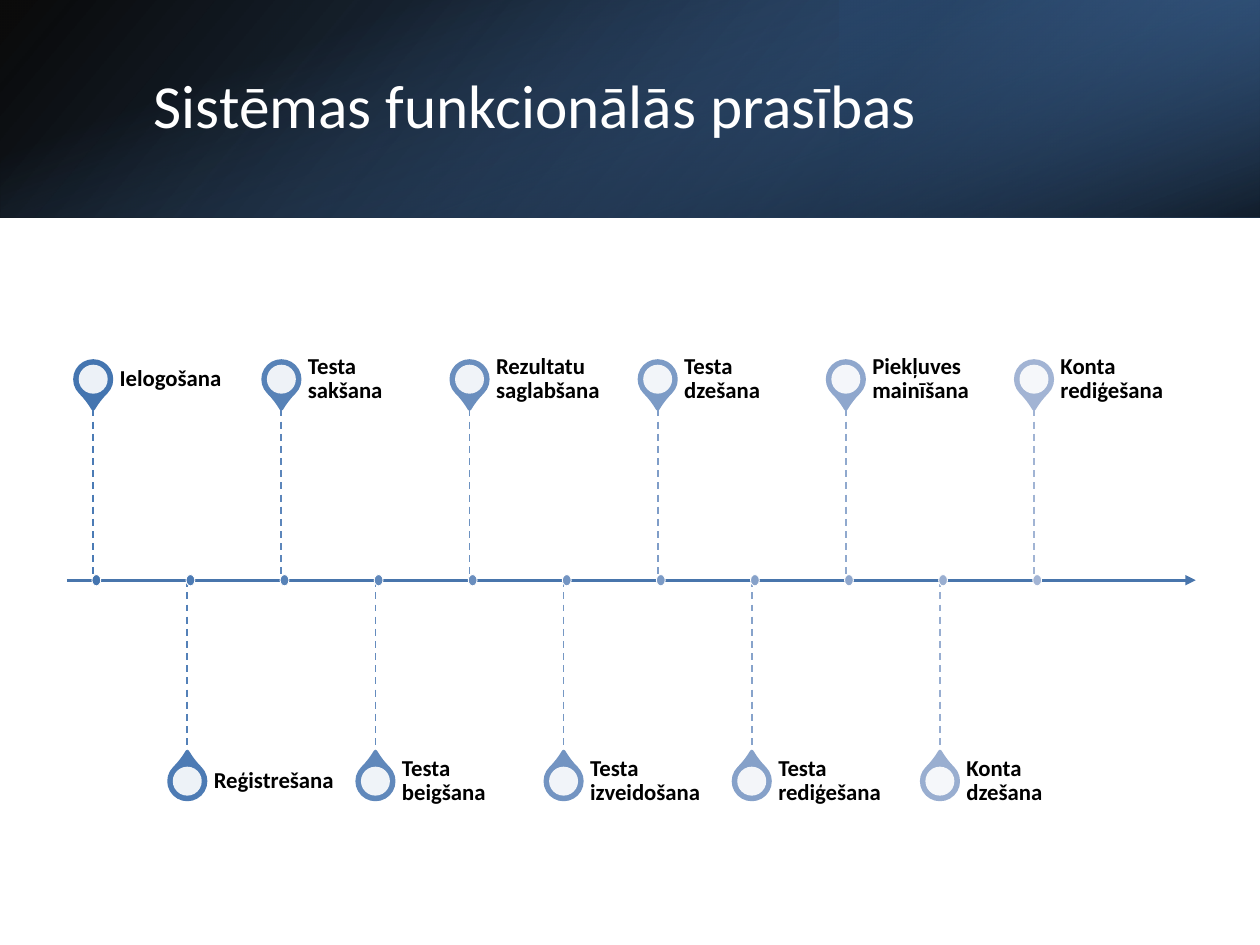
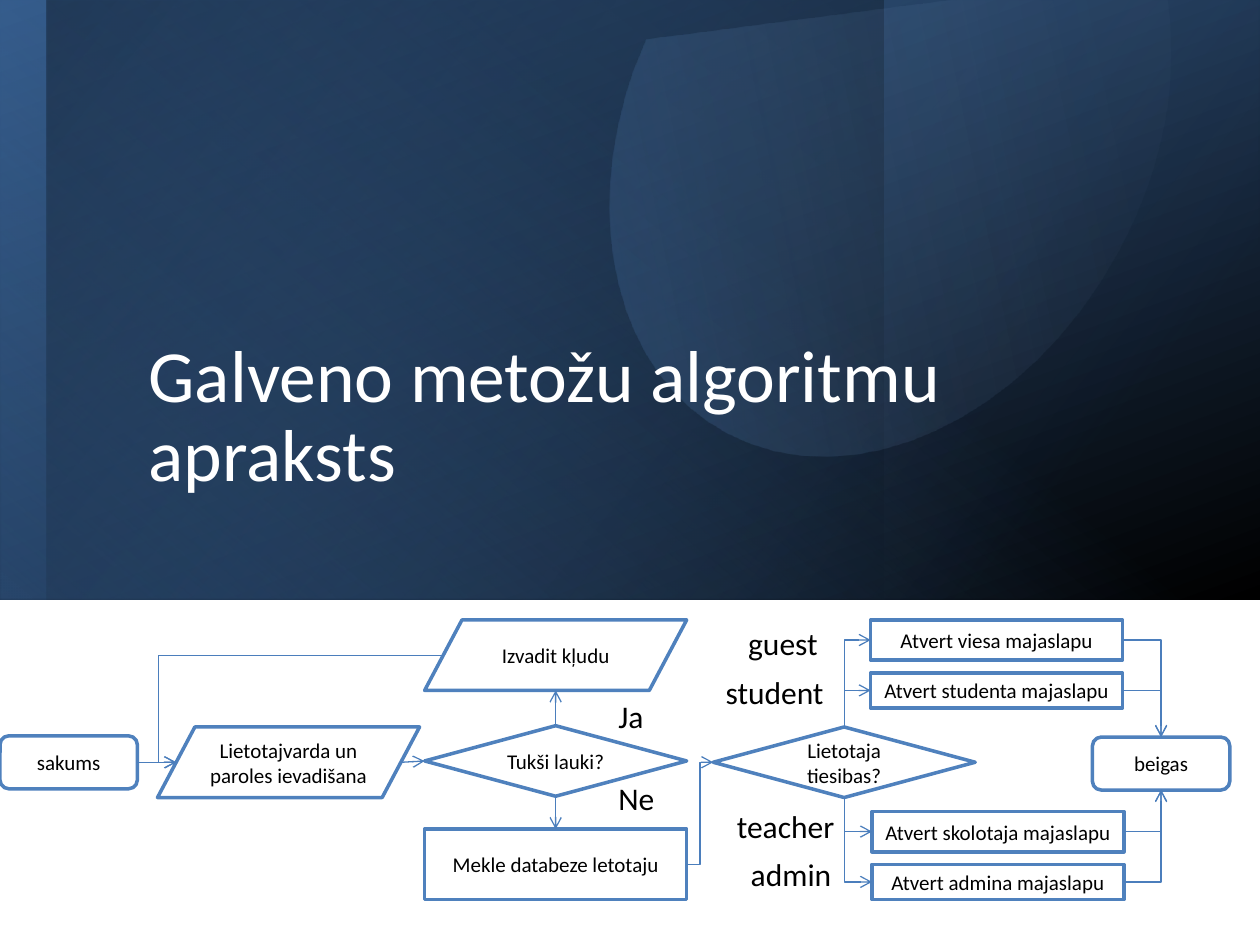
import dataclasses

import pptx
import pptx.dml.color
import pptx.enum.dml
import pptx.enum.shapes
import pptx.enum.text
import pptx.oxml.ns
import pptx.oxml.xmlchemy
import pptx.util

SHAPE = pptx.enum.shapes.MSO_SHAPE
CONNECTOR = pptx.enum.shapes.MSO_CONNECTOR
ANCHOR = pptx.enum.text.MSO_ANCHOR
ALIGN = pptx.enum.text.PP_ALIGN
Inches, Pt, qn = pptx.util.Inches, pptx.util.Pt, pptx.oxml.ns.qn
new_element = pptx.oxml.xmlchemy.OxmlElement

FONT = "Calibri"
WIDE, HIGH = 10, 7.5
COLOURS = {
    "white": "FFFFFF", "black": "000000", "blue": "4F81BD", "pale": "95B3D7",
    "deep": "376092", "navy": "254061", "axis": "4875AC", "arrow": "4B7EBC",
    "pin first": "4475B0", "pin last": "A2B4D4",
    "stem first": "4B7BB5", "stem last": "A1B4D4",
}


@dataclasses.dataclass
class Region:
    """A box on the slide, in inches, with a grid of columns and rows."""
    left: float
    top: float
    width: float
    height: float
    columns: float = 1
    rows: float = 1

    def x(self, column):
        return self.left + column * self.width / self.columns

    def y(self, row):
        return self.top + row * self.height / self.rows

    def cell(self, column, row, wide, tall):
        return (self.x(column), self.y(row),
                wide * self.width / self.columns, tall * self.height / self.rows)


def rgb(colour):
    return pptx.dml.color.RGBColor.from_string(COLOURS.get(colour, colour))


def blend(first, last, share):
    pairs = zip(rgb(first), rgb(last))
    return "".join(f"{round(a + (b - a) * share):02X}" for a, b in pairs)


def set_opacity(shape, *percents):
    for colour, percent in zip(shape.element.spPr.iter(qn("a:srgbClr")), percents):
        alpha = new_element("a:alpha")
        alpha.set("val", str(percent * 1000))
        colour.append(alpha)


def add_shape(page, kind, place, fill=None, line=None, line_width=1):
    shape = page.shapes.add_shape(kind, *map(Inches, place))
    shape.shadow.inherit = False
    if fill:
        shape.fill.solid()
        shape.fill.fore_color.rgb = rgb(fill)
    if line:
        shape.line.color.rgb = rgb(line)
        shape.line.width = Pt(line_width)
    else:
        shape.line.fill.background()
    return shape


def fill_gradient(shape, angle, *stops):
    """Fill with two stops of (position, colour, opacity); the angle turns clockwise."""
    shape.fill.gradient()
    shape.fill.gradient_angle = (360 - angle) % 360
    for stop, (position, colour, _) in zip(shape.fill.gradient_stops, stops):
        stop.position = position / 100
        stop.color.rgb = rgb(colour)
    set_opacity(shape, *(opacity for _, _, opacity in stops))


def add_band(page, place, angle, *stops, turn=0, flip=False):
    """Cover a place with a gradient on a rectangle that may be turned."""
    left, top, width, height = place
    if turn % 180:
        left, top = left + (width - height) / 2, top + (height - width) / 2
        width, height = height, width
    band = add_shape(page, SHAPE.RECTANGLE, (left, top, width, height))
    band.rotation = turn
    if flip:
        band.element.spPr.find(qn("a:xfrm")).set("flipH", "1")
    fill_gradient(band, angle, *stops)


def write(shape, text, size, colour="black", bold=False, align=ALIGN.LEFT,
          anchor=ANCHOR.MIDDLE, spacing=1.0):
    frame = shape.text_frame
    frame.word_wrap = True
    frame.vertical_anchor = anchor
    para = frame.paragraphs[0]
    para.alignment, para.line_spacing = align, spacing
    span = para.add_run()
    span.text = text
    span.font.name, span.font.size, span.font.bold = FONT, Pt(size), bold
    span.font.color.rgb = rgb(colour)
    return frame


def write_title(page, place, text, size, anchor):
    title = page.shapes.title
    title.left, title.top, title.width, title.height = map(Inches, place)
    frame = write(title, text, size, "white", anchor=anchor, spacing=0.9)
    frame.auto_size = pptx.enum.text.MSO_AUTO_SIZE.NONE
    title.element.getparent().append(title.element)


def add_line(page, start, end, colour, width, head=None, dashed=False,
             kind=CONNECTOR.STRAIGHT):
    line = page.shapes.add_connector(kind, *map(Inches, start + end))
    line.line.color.rgb = rgb(colour)
    line.line.width = Pt(width)
    if dashed:
        line.line.dash_style = pptx.enum.dml.MSO_LINE.DASH
    if head:
        tip = new_element("a:tailEnd")
        tip.set("type", head)
        line.element.spPr.find(qn("a:ln")).append(tip)
    line.element.spPr.append(new_element("a:effectLst"))
    return line


# Slide 1: timeline of requirements

def draw_top_bands(page, region):
    add_band(page, region.cell(0, 0, 3, 1), 140,
             (0, "black", 96), (100, "deep", 100), flip=True)
    add_band(page, region.cell(2, 0, 1, 1), 320,
             (19, "navy", 68), (100, "blue", 79), turn=180, flip=True)
    add_band(page, region.cell(0, 0, 3, 1), 340,
             (23, "blue", 0), (99, "black", 74), turn=90)


def draw_pin(page, region, column, upper, label, pin_colour, stem_colour):
    tear, ring, dot_wide, dot_tall, label_tall = 0.29, 0.23, 0.07, 0.09, 0.48
    x, axis = region.x(column) + 0.21, region.y(1)
    label_top = region.top if upper else region.y(2) - label_tall
    y = label_top + label_tall / 2

    drop = add_shape(page, SHAPE.TEAR, (x - tear / 2, y - tear / 2, tear, tear),
                     pin_colour, pin_colour, 2)
    drop.adjustments[0] = 1.15
    drop.rotation = 135 if upper else 315
    centre = add_shape(page, SHAPE.OVAL, (x - ring / 2, y - ring / 2, ring, ring), "white")
    set_opacity(centre, 90)

    place = (x + 0.21, label_top, 1.08, label_tall)
    frame = write(page.shapes.add_textbox(*map(Inches, place)), label, 13,
                  bold=True, spacing=0.9)
    frame.margin_left = frame.margin_top = frame.margin_bottom = 0
    frame.margin_right = Inches(0.09)

    if upper:
        ends = (x, label_top + label_tall), (x, axis)
    else:
        ends = (x, axis), (x, label_top)
    add_line(page, *ends, stem_colour, 1, dashed=True)
    add_shape(page, SHAPE.OVAL, (x - 0.01, axis - dot_tall / 2, dot_wide, dot_tall),
              pin_colour, "white", 0.5)


def draw_timeline(page, region, labels):
    """Pins stand above and below the axis by turns, paling towards the end."""
    add_line(page, (region.left, region.y(1)), (region.x(region.columns), region.y(1)),
             "axis", 1.5, "triangle")
    for number, label in enumerate(labels):
        share = number / (len(labels) - 1)
        draw_pin(page, region, number, number % 2 == 0, label,
                 blend("pin first", "pin last", share),
                 blend("stem first", "stem last", share))


def build_requirements(page):
    draw_top_bands(page, Region(0, 0, WIDE, HIGH * 0.23, columns=3))
    write_title(page, (1.12, 0.38, 8.24, 0.96), "Sistēmas funkcionālās prasības",
                35, ANCHOR.MIDDLE)
    draw_timeline(page, Region(0.53, 2.77, 8.96, 3.67, columns=12, rows=2), [
        "Ielogošana", "Reģistrešana", "Testa sakšana", "Testa beigšana",
        "Rezultatu saglabšana", "Testa izveidošana", "Testa dzešana",
        "Testa rediģešana", "Piekļuves mainīšana", "Konta dzešana",
        "Konta rediģešana"])


# Slide 2: login algorithm

def curve(points, steps=16):
    """Points along a cubic Bezier curve, after its start."""
    for step in range(1, steps + 1):
        t = step / steps
        weights = (1 - t) ** 3, 3 * t * (1 - t) ** 2, 3 * t * t * (1 - t), t ** 3
        yield tuple(sum(w * point[axis] for w, point in zip(weights, points))
                    for axis in (0, 1))


def draw_petal(page, region):
    outline = [(5.13, 0.31), (9.22, -0.22)]
    arcs = [((9.38, 0.45), (9.28, 1.25), (8.87, 2)),
            ((8.15, 3.33), (6.76, 3.97), (5.76, 3.43)),
            ((4.89, 2.96), (4.61, 1.74), (5.03, 0.55))]
    for arc in arcs:
        outline.extend(curve((outline[-1],) + arc))
    start, *others = [(Inches(region.x(x)), Inches(region.y(y))) for x, y in outline]
    builder = page.shapes.build_freeform(*start)
    builder.add_line_segments(others, close=True)
    petal = builder.convert_to_shape()
    petal.shadow.inherit = False
    petal.line.fill.background()
    fill_gradient(petal, 348.5, (0, "blue", 22), (87, "pale", 2))


def draw_cover(page, region):
    whole = region.cell(0, 0, 10, 1)
    add_band(page, whole, 250, (0, "deep", 100), (100, "black", 100), turn=180)
    add_band(page, whole, 40, (40, "blue", 0), (100, "deep", 52), turn=90)
    add_band(page, region.cell(0.37, 0, 9.63, 1), 130,
             (17, "blue", 0), (100, "black", 37), turn=90)
    add_band(page, region.cell(0, 0, 7.01, 1), 310, (0, "navy", 0), (100, "black", 25))
    draw_petal(page, Region(region.left, region.top, WIDE, HIGH, WIDE, HIGH))


def draw_step(page, place, kind, text):
    step = add_shape(page, kind, place, "white", "blue", 2)
    if kind == SHAPE.PARALLELOGRAM:
        step.adjustments[0] = 0.53
    write(step, text, 12, align=ALIGN.CENTER)
    return step


def side(step, name):
    """The middle of one side of a step, in inches."""
    left, top, width, height = (length.inches for length in (
        step.left, step.top, step.width, step.height))
    slant = 0
    if step.auto_shape_type == SHAPE.PARALLELOGRAM:
        slant = step.adjustments[0] * height / 2
    return {"left": (left + slant, top + height / 2),
            "right": (left + width - slant, top + height / 2),
            "top": (left + width / 2, top),
            "bottom": (left + width / 2, top + height)}[name]


def add_bend(page, start, end, share):
    """Elbow that turns twice, first at a share of its width."""
    bend = add_line(page, start, end, "arrow", 0.75, "arrow", kind=CONNECTOR.ELBOW)
    guide = new_element("a:gd")
    guide.set("name", "adj1")
    guide.set("fmla", f"val {round(share * 100000)}")
    bend.element.spPr.find(qn("a:prstGeom")).get_or_add_avLst().append(guide)


def add_corner(page, start, end, upright_first):
    """Elbow that turns once on its way to the right."""
    corner = add_line(page, start, end, "arrow", 0.75, "arrow", kind=CONNECTOR.ELBOW)
    corner.element.spPr.find(qn("a:prstGeom")).set("prst", "bentConnector2")
    if upright_first:
        width, height = corner.width, corner.height
        corner.left += (width - height) // 2
        corner.top += (height - width) // 2
        corner.width, corner.height = height, width
        frame = corner.element.spPr.find(qn("a:xfrm"))
        frame.set("flipH", "1")
        frame.set("rot", str((90 if end[1] < start[1] else 270) * 60000))


def draw_flow(page, region):
    terminal, box = (10.9, 4.2), (20.8, 5.6)
    tall_page, low_page = (20, 3.2), (20, 2.8)
    plan = {
        "start": (0, 9.2, terminal, SHAPE.ROUNDED_RECTANGLE, "sakums"),
        "input": (12.5, 8.5, box, SHAPE.PARALLELOGRAM, "Lietotajvarda un paroles ievadišana"),
        "empty": (33.7, 8.4, box, SHAPE.DIAMOND, "Tukši lauki?"),
        "error": (33.7, 0, box, SHAPE.PARALLELOGRAM, "Izvadit kļudu"),
        "search": (33.7, 16.6, box, SHAPE.RECTANGLE, "Mekle databeze letotaju"),
        "rights": (56.6, 8.5, box, SHAPE.DIAMOND, "Lietotaja tiesibas?"),
        "guest": (69.1, 0, tall_page, SHAPE.RECTANGLE, "Atvert viesa majaslapu"),
        "student": (69.1, 4.2, low_page, SHAPE.RECTANGLE, "Atvert studenta majaslapu"),
        "teacher": (69.2, 15.2, tall_page, SHAPE.RECTANGLE, "Atvert skolotaja majaslapu"),
        "admin": (69.2, 19.4, low_page, SHAPE.RECTANGLE, "Atvert admina majaslapu"),
        "end": (86.7, 9.3, terminal, SHAPE.ROUNDED_RECTANGLE, "beigas"),
    }
    steps = {name: draw_step(page, region.cell(column, row, *size), kind, text)
             for name, (column, row, size, kind, text) in plan.items()}

    for source, leave, target, enter in [
            ("start", "right", "input", "left"), ("input", "right", "empty", "left"),
            ("empty", "top", "error", "bottom"), ("empty", "bottom", "search", "top")]:
        add_line(page, side(steps[source], leave), side(steps[target], enter),
                 "arrow", 0.75, "arrow")
    add_bend(page, side(steps["error"], "left"), side(steps["input"], "left"), 1.065)
    add_bend(page, side(steps["search"], "right"), side(steps["rights"], "left"), 0.5)
    for role, leave in [("teacher", "bottom"), ("admin", "bottom"),
                        ("student", "top"), ("guest", "top")]:
        add_corner(page, side(steps["rights"], leave), side(steps[role], "left"), True)
        add_corner(page, side(steps[role], "right"), side(steps["end"], leave), False)

    for text, column, row, wide in [
            ("Ja", 48.1, 5.6, 8.3), ("Ne", 48.1, 12.1, 8.3), ("guest", 58.4, -0.2, 8.3),
            ("student", 56.6, 3.7, 10.9), ("teacher", 57.5, 14.4, 10.9),
            ("admin", 58.6, 18.2, 10.9)]:
        label = page.shapes.add_textbox(*map(Inches, region.cell(column, row, wide, 4)))
        write(label, text, 18, anchor=ANCHOR.TOP)


def build_algorithm(page):
    draw_cover(page, Region(0, 0, WIDE, 4.76, columns=10))
    write_title(page, (1.08, 0.8, 8.25, 3.2), "Galveno metožu algoritmu apraksts",
                42, ANCHOR.BOTTOM)
    draw_flow(page, Region(0, 4.92, WIDE, 2.22, columns=100, rows=22.2))


def main():
    deck = pptx.Presentation()
    deck.slide_width, deck.slide_height = Inches(WIDE), Inches(HIGH)
    title_only = deck.slide_layouts[5]
    for build in (build_requirements, build_algorithm):
        build(deck.slides.add_slide(title_only))
    deck.save("out.pptx")


if __name__ == "__main__":
    main()
